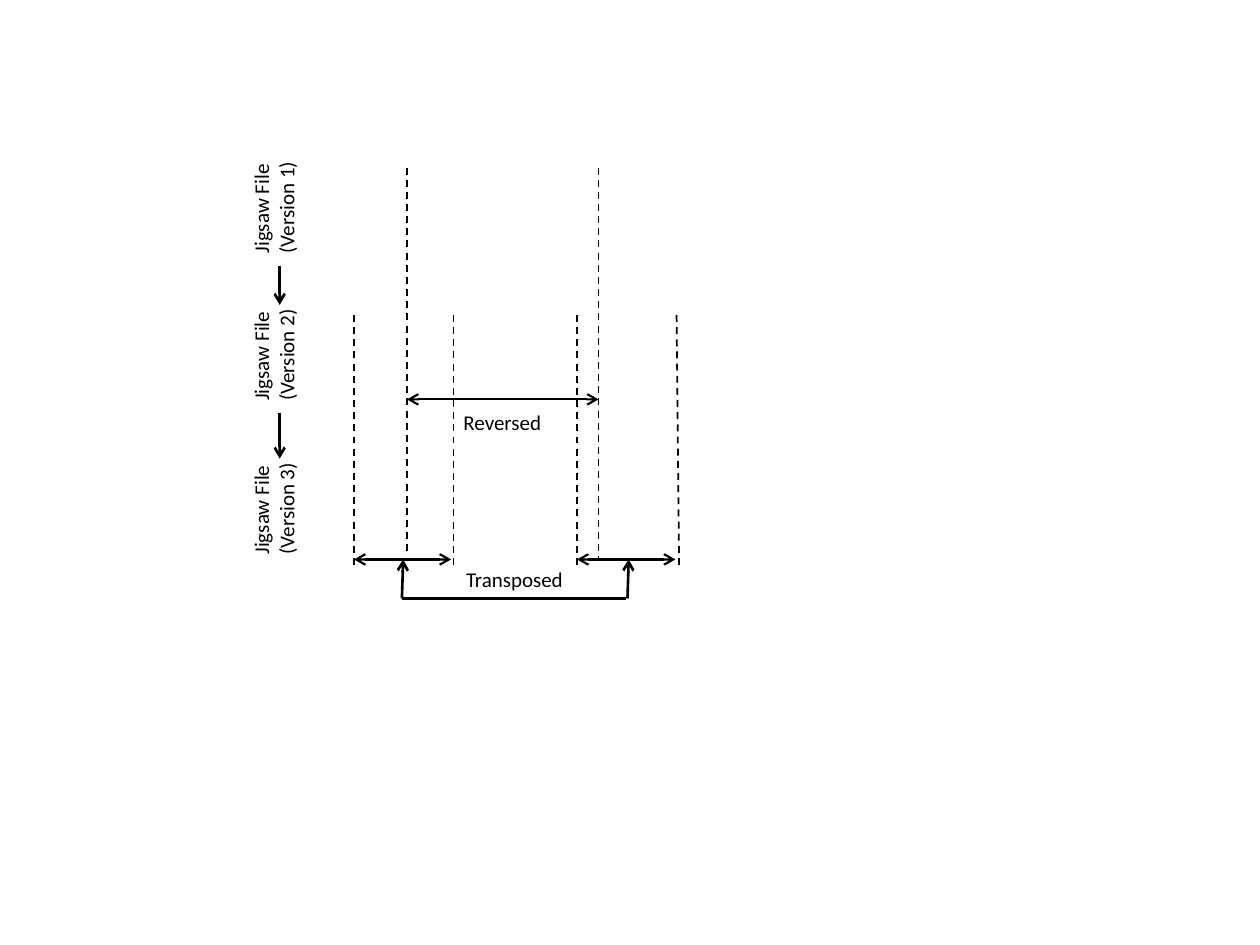
from typing import NamedTuple

from lxml.etree import SubElement
from pptx import Presentation
from pptx.dml.color import RGBColor
from pptx.enum.dml import MSO_LINE_DASH_STYLE as Dash
from pptx.enum.shapes import MSO_CONNECTOR as Connector
from pptx.enum.text import MSO_AUTO_SIZE as AutoSize
from pptx.oxml.ns import qn
from pptx.util import Inches, Pt

INK = "000000"


class Line(NamedTuple):
    x1: float
    y1: float
    x2: float
    y2: float
    weight: float = 1.25
    ends: tuple[str, ...] = ()
    dashed: bool = False


class Label(NamedTuple):
    text: str
    left: float
    top: float
    width: float
    height: float
    upward: bool = False


BOTH_ENDS = ("headEnd", "tailEnd")
END = ("tailEnd",)
VERSION_TOPS = (1.25, 2.42, 3.64)
VERSION_HEIGHT = 0.86
VERSION_X = 2.22
TRANSPOSED_Y = 4.44
BRACKET_Y = 4.75

version_arrows = [
    Line(VERSION_X, top + VERSION_HEIGHT, VERSION_X, next_top, 1.5, END)
    for top, next_top in zip(VERSION_TOPS, VERSION_TOPS[1:])
]
span_arrows = [
    Line(left, y, right, y, ends=BOTH_ENDS)
    for left, right, y in (
        (3.23, 4.75, 3.17),
        (2.81, 3.58, TRANSPOSED_Y),
        (4.58, 5.36, TRANSPOSED_Y),
    )
]
bracket = [
    Line(x, BRACKET_Y, x + 0.01, TRANSPOSED_Y, 1.5, END) for x in (3.19, 4.98)
] + [Line(3.19, BRACKET_Y, 4.97, BRACKET_Y)]
guides = [
    Line(x1, top, x2, bottom, 1, dashed=True)
    for x1, top, x2, bottom in (
        (4.75, 1.33, 4.75, 4.44),
        (4.58, 2.5, 4.58, 4.5),
        (5.37, 2.5, 5.39, 4.5),
        (2.81, 2.5, 2.81, 4.5),
        (3.23, 1.33, 3.23, 4.38),
        (3.6, 2.5, 3.6, 4.5),
    )
]
labels = [
    Label("Reversed", 3.58, 3.2, 0.82, 0.3),
    Label("Transposed", 3.6, 4.45, 0.98, 0.3),
] + [
    Label(f"Jigsaw File\n(Version {number})", 1.92, top, 0.61, VERSION_HEIGHT, True)
    for number, top in enumerate(VERSION_TOPS, 1)
]


def color(hex_value: str) -> RGBColor:
    return RGBColor.from_string(hex_value)


def draw_line(slide, line: Line) -> None:
    connector = slide.shapes.add_connector(
        Connector.STRAIGHT,
        Inches(line.x1), Inches(line.y1), Inches(line.x2), Inches(line.y2),
    )
    connector.line.width = Pt(line.weight)
    connector.line.color.rgb = color(INK)
    if line.dashed:
        connector.line.dash_style = Dash.DASH
    properties = connector._element.spPr
    outline = properties.find(qn("a:ln"))
    for end in line.ends:
        SubElement(outline, qn(f"a:{end}"), type="arrow")
    SubElement(properties, qn("a:effectLst"))


def draw_label(slide, label: Label) -> None:
    box = slide.shapes.add_textbox(
        Inches(label.left), Inches(label.top),
        Inches(label.width), Inches(label.height),
    )
    frame = box.text_frame
    frame.text = label.text
    frame.word_wrap = False
    frame.auto_size = AutoSize.SHAPE_TO_FIT_TEXT
    if label.upward:
        frame._txBody.bodyPr.set("vert", "vert270")
    for paragraph in frame.paragraphs:
        for run in paragraph.runs:
            run.font.name = "Calibri"
            run.font.size = Pt(12)
            run.font.color.rgb = color(INK)


def main() -> None:
    deck = Presentation()
    deck.slide_width, deck.slide_height = Inches(10), Inches(7.5)
    slide = deck.slides.add_slide(deck.slide_layouts[6])
    for line in version_arrows + span_arrows + bracket + guides:
        draw_line(slide, line)
    for label in labels:
        draw_label(slide, label)
    deck.save("out.pptx")


if __name__ == "__main__":
    main()
